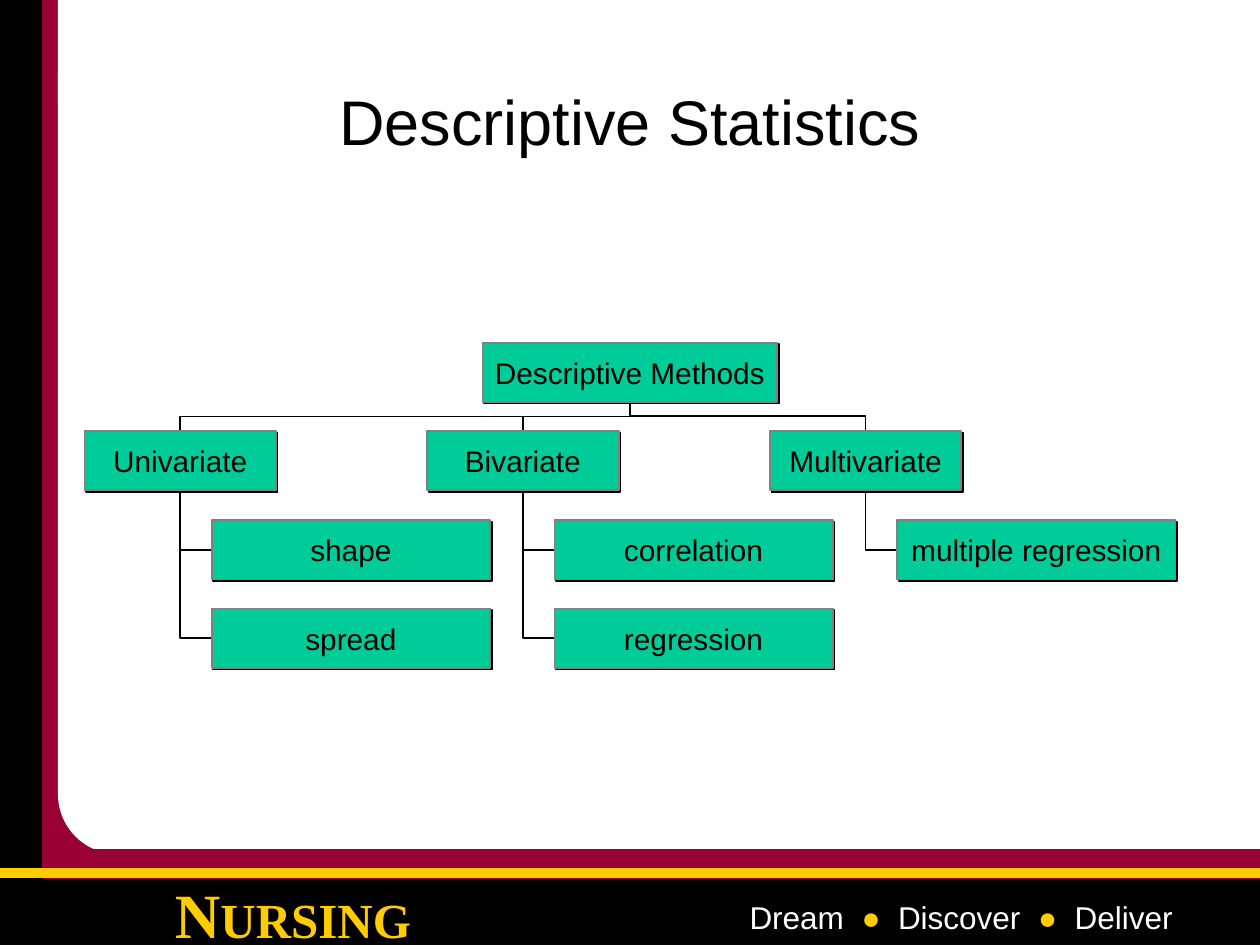
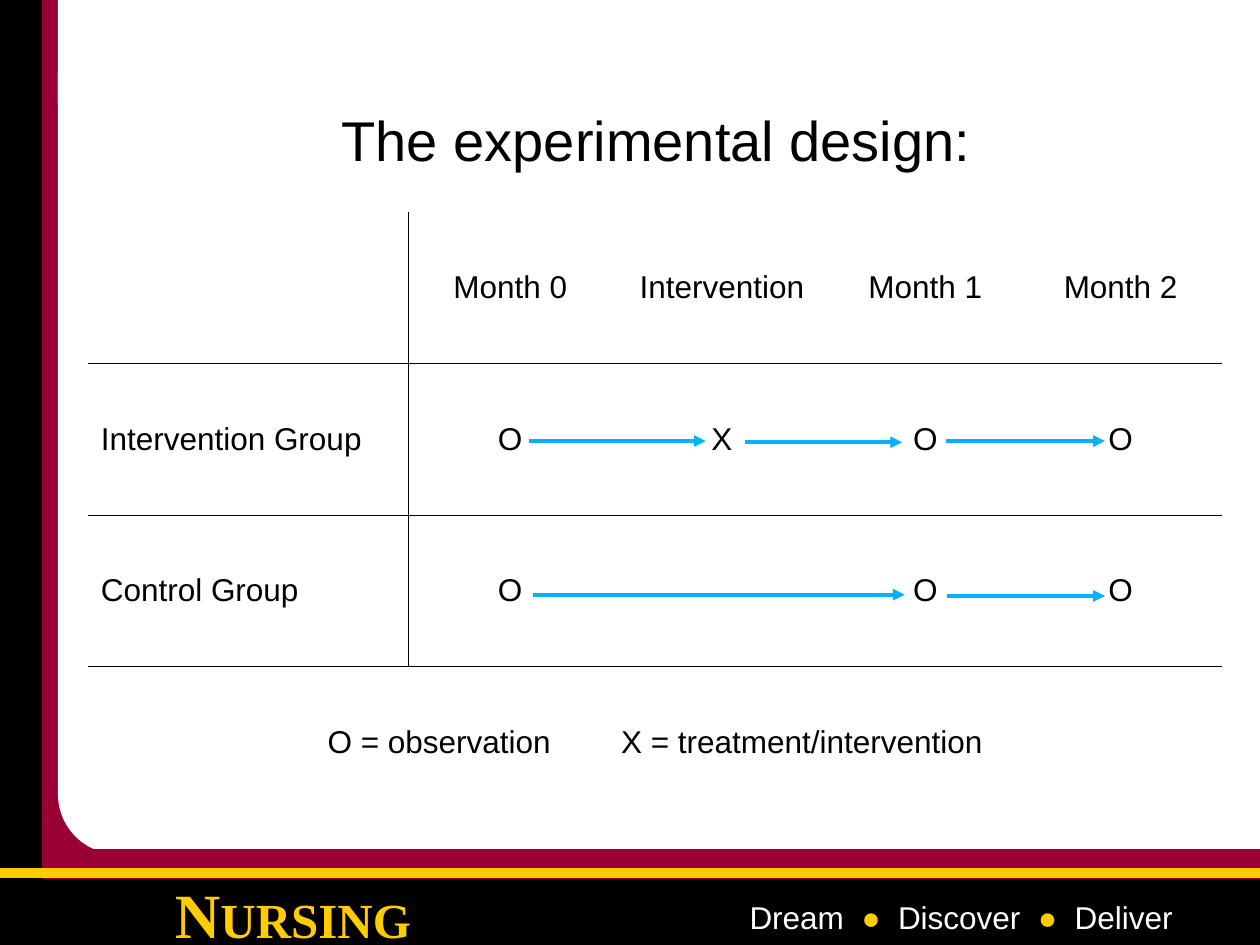
"""Build two nursing statistics slides: a method tree and an experimental design table."""
from lxml import etree
from pptx import Presentation
from pptx.dml.color import RGBColor
from pptx.enum import shapes, text
from pptx.oxml import ns
from pptx.util import Emu, Inches, Pt

BLACK = RGBColor(0x00, 0x00, 0x00)
WHITE = RGBColor(0xFF, 0xFF, 0xFF)
MAROON = RGBColor(0x99, 0x00, 0x33)
GOLD = RGBColor(0xFF, 0xCC, 0x00)
GREEN = RGBColor(0x00, 0xCC, 0x99)
GRAY = RGBColor(0x80, 0x80, 0x80)
BLUE = RGBColor(0x00, 0xB2, 0xFF)
SANS, SERIF = "Arial", "Times New Roman"
RECTANGLE = shapes.MSO_SHAPE.RECTANGLE
CENTER = text.PP_ALIGN.CENTER

SCHOOL = [("N", 36), ("URSING", 28)]
MOTTO = [("Dream  ", WHITE), ("●  ", GOLD), ("Discover  ", WHITE), ("●", GOLD), ("  Deliver", WHITE)]

TREE_ROOT = "Descriptive Methods"
TREE = [
    ("Univariate", ["shape", "spread"]),
    ("Bivariate", ["correlation", "regression"]),
    ("Multivariate", ["multiple regression"]),
]
LEVEL_TOPS = [2.72, 3.42, 4.13, 4.83]
BOX_HEIGHT = 0.47
ROOT_LEFT, ROOT_WIDTH = 3.83, 2.34
BRANCH_LEFT, BRANCH_WIDTH, BRANCH_STEP = 0.67, 1.52, 2.72
LEAF_INDENT, LEAF_WIDTH = 1.01, 2.21

DESIGN = [
    ["", "Month 0", "Intervention", "Month 1", "Month 2"],
    ["Intervention Group", "O", "X", "O", "O"],
    ["Control Group", "O", "", "O", "O"],
    ["O = observation\tX = treatment/intervention", "", "", "", ""],
]
LEGEND_TAB = 2.33
COLUMN_WIDTHS = [2.54, 1.62, 1.74, 1.49, 1.61]
ROW_HEIGHTS = [1.2, 1.21, 1.2, 1.2]
ARROWS = [
    (3.5, 4.2, 5.6), (3.51, 5.91, 7.16), (3.5, 7.51, 8.77),
    (4.72, 4.23, 7.18), (4.73, 7.52, 8.77),
]


def add_xml(parent, tag, **attributes):
    return etree.SubElement(parent, ns.qn(tag), attributes)


def add_solid(parent, color):
    add_xml(add_xml(parent, "a:solidFill"), "a:srgbClr", val=str(color))


def add_run(paragraph, words, size, color=BLACK, name=SANS, bold=False):
    run = paragraph.add_run()
    run.text = words
    font = run.font
    font.size, font.name, font.bold = Pt(size), name, bold
    font.color.rgb = color


def add_block(slide, place, fill, line=None, width=0.75, kind=RECTANGLE):
    shape = slide.shapes.add_shape(kind, *map(Inches, place))
    shape.shadow.inherit = False
    shape.fill.solid()
    shape.fill.fore_color.rgb = fill
    if line is None:
        shape.line.fill.background()
    else:
        shape.line.color.rgb = line
        shape.line.width = Pt(width)
    return shape


def add_line(slide, start, end, color, width, kind=shapes.MSO_CONNECTOR.STRAIGHT):
    connector = slide.shapes.add_connector(kind, *map(Inches, start + end))
    connector.line.color.rgb = color
    connector.line.width = Pt(width)
    add_xml(connector.element.spPr, "a:effectLst")
    return connector


def add_text_box(slide, place):
    frame = slide.shapes.add_textbox(*map(Inches, place)).text_frame
    frame.word_wrap = True
    return frame


def add_theme(slide):
    """Draw the bands and footer, then move them to the slide's layout."""
    layout = slide.slide_layout
    for placeholder in list(layout.placeholders):
        if placeholder.placeholder_format.type != shapes.PP_PLACEHOLDER.TITLE:
            layout.shapes.element.remove(placeholder.element)
    add_block(slide, (0.32, 0, 0.43, 7.5), MAROON)
    add_block(slide, (1.04, 0.75, 8.96, 6.75), WHITE)
    add_block(slide, (0, 0, 0.33, 7.5), BLACK, BLACK)
    add_block(slide, (0, 6.96, 10, 0.54), BLACK, BLACK)
    panel = add_block(slide, (0.46, 0.12, 2.81, 6.66), WHITE, kind=shapes.MSO_SHAPE.ROUNDED_RECTANGLE)
    panel.adjustments[0] = 0.17
    add_block(slide, (0.46, 0, 0.64, 0.83), WHITE)

    paragraph = add_text_box(slide, (1.16, 6.9, 2.33, 0.63)).paragraphs[0]
    paragraph.alignment = CENTER
    for words, size in SCHOOL:
        add_run(paragraph, words, size, GOLD, SERIF, True)

    add_block(slide, (0.34, 6.74, 9.66, 0.24), MAROON)
    add_line(slide, (0, 6.93), (10, 6.93), GOLD, 6)

    frame = add_text_box(slide, (5.85, 7.08, 3.99, 0.4))
    frame.auto_size = text.MSO_AUTO_SIZE.SHAPE_TO_FIT_TEXT
    frame.paragraphs[0].space_before = Pt(11.2)
    for words, color in MOTTO:
        add_run(frame.paragraphs[0], words, 18, color)

    for shape in list(slide.shapes):
        if not shape.is_placeholder:
            layout.shapes.element.append(shape.element)


def set_title(slide, words, size, left, top):
    title = slide.shapes.title
    title.left, title.top, title.width, title.height = map(Inches, (left, top, 8.5, 1.25))
    frame = title.text_frame
    frame.auto_size = text.MSO_AUTO_SIZE.NONE
    frame.vertical_anchor = text.MSO_ANCHOR.MIDDLE
    frame.paragraphs[0].alignment = CENTER
    add_run(frame.paragraphs[0], words, size)


def add_tree_box(slide, words, left, top, width):
    shape = add_block(slide, (left, top, width, BOX_HEIGHT), GREEN, GRAY, 1)
    effects = shape.element.spPr.find(ns.qn("a:effectLst"))
    shadow = add_xml(effects, "a:outerShdw", blurRad="0", dist=str(Pt(1.4)), dir="2700000", algn="ctr", rotWithShape="0")
    add_xml(shadow, "a:srgbClr", val=str(BLACK))
    frame = shape.text_frame
    frame.word_wrap = False
    frame.vertical_anchor = text.MSO_ANCHOR.MIDDLE
    frame.margin_left = frame.margin_right = Inches(0.09)
    frame.paragraphs[0].alignment = CENTER
    add_run(frame.paragraphs[0], words, 17)


def add_elbow(slide, preset, place, degrees, flip=False):
    left, top, width, height = place
    connector = add_line(slide, (left, top), (left + width, top + height), BLACK, 1, shapes.MSO_CONNECTOR.ELBOW)
    properties = connector.element.spPr
    properties.find(ns.qn("a:prstGeom")).set("prst", preset)
    frame = properties.find(ns.qn("a:xfrm"))
    frame.set("rot", str(degrees * 60000))
    if flip:
        frame.set("flipV", "1")


def add_tree(slide):
    root_center = ROOT_LEFT + ROOT_WIDTH / 2
    root_bottom = LEVEL_TOPS[0] + BOX_HEIGHT
    branch_top = LEVEL_TOPS[1]
    branch_bottom = branch_top + BOX_HEIGHT
    boxes = [(TREE_ROOT, ROOT_LEFT, LEVEL_TOPS[0], ROOT_WIDTH)]
    for index, (branch, leaves) in enumerate(TREE):
        left = BRANCH_LEFT + index * BRANCH_STEP
        center = left + BRANCH_WIDTH / 2
        boxes.append((branch, left, branch_top, BRANCH_WIDTH))
        drop, reach = branch_top - root_bottom, abs(center - root_center)
        place = (
            (center + root_center - drop) / 2,
            (branch_top + root_bottom - reach) / 2,
            drop,
            reach,
        )
        add_elbow(slide, "bentConnector3", place, 270, center > root_center)
        leaf_left = left + LEAF_INDENT
        for leaf, top in zip(leaves, LEVEL_TOPS[2:]):
            boxes.append((leaf, leaf_left, top, LEAF_WIDTH))
            height = top + BOX_HEIGHT / 2 - branch_bottom
            add_elbow(slide, "bentConnector2", (center, branch_bottom, leaf_left - center, height), 180)
    for box in boxes:
        add_tree_box(slide, *box)


def set_borders(cell, visible):
    properties = cell._tc.get_or_add_tcPr()
    for side in "LRTB":
        line = add_xml(properties, f"a:ln{side}", w=str(Pt(0.45)))
        if side in visible:
            add_solid(line, BLACK)
        else:
            add_xml(line, "a:noFill")


def add_design_table(slide):
    last = len(DESIGN) - 1
    place = map(Inches, (0.7, 1.68, sum(COLUMN_WIDTHS), sum(ROW_HEIGHTS)))
    table = slide.shapes.add_table(len(DESIGN), len(COLUMN_WIDTHS), *place).table
    table.first_row = table.horz_banding = False
    for column, width in zip(table.columns, COLUMN_WIDTHS):
        column.width = Inches(width)
    for row, height in zip(table.rows, ROW_HEIGHTS):
        row.height = Inches(height)
    table.cell(last, 0).merge(table.cell(last, len(COLUMN_WIDTHS) - 1))

    for r, row in enumerate(DESIGN):
        for c, words in enumerate(row):
            cell = table.cell(r, c)
            visible = "T" if r > 0 else ""
            if r < last:
                visible += "B" + {0: "R", 1: "L"}.get(c, "")
            set_borders(cell, visible)
            cell.fill.background()
            cell.vertical_anchor = text.MSO_ANCHOR.MIDDLE
            if words:
                paragraph = cell.text_frame.paragraphs[0]
                paragraph.space_before = Pt(4.5)
                paragraph.alignment = CENTER if c or r == last else text.PP_ALIGN.LEFT
                add_run(paragraph, words, 18)

    legend = table.cell(last, 0).text_frame.paragraphs[0]
    tabs = add_xml(legend._p.get_or_add_pPr(), "a:tabLst")
    add_xml(tabs, "a:tab", pos=str(Emu(Inches(LEGEND_TAB))), algn="l")


def add_arrows(slide):
    for y, start, end in ARROWS:
        arrow = add_line(slide, (start, y), (end, y), BLUE, 2.25)
        add_xml(arrow.line._get_or_add_ln(), "a:tailEnd", type="triangle")


def main():
    presentation = Presentation()
    presentation.slide_width, presentation.slide_height = Inches(10), Inches(7.5)
    layout = presentation.slide_layouts.get_by_name("Title Only")

    methods = presentation.slides.add_slide(layout)
    add_theme(methods)
    set_title(methods, "Descriptive Statistics", 36, 0.75, 0.33)
    add_tree(methods)

    design = presentation.slides.add_slide(layout)
    set_title(design, "The experimental design:", 32, 0.96, 0.48)
    add_design_table(design)
    add_arrows(design)
    presentation.save("out.pptx")


if __name__ == "__main__":
    main()
